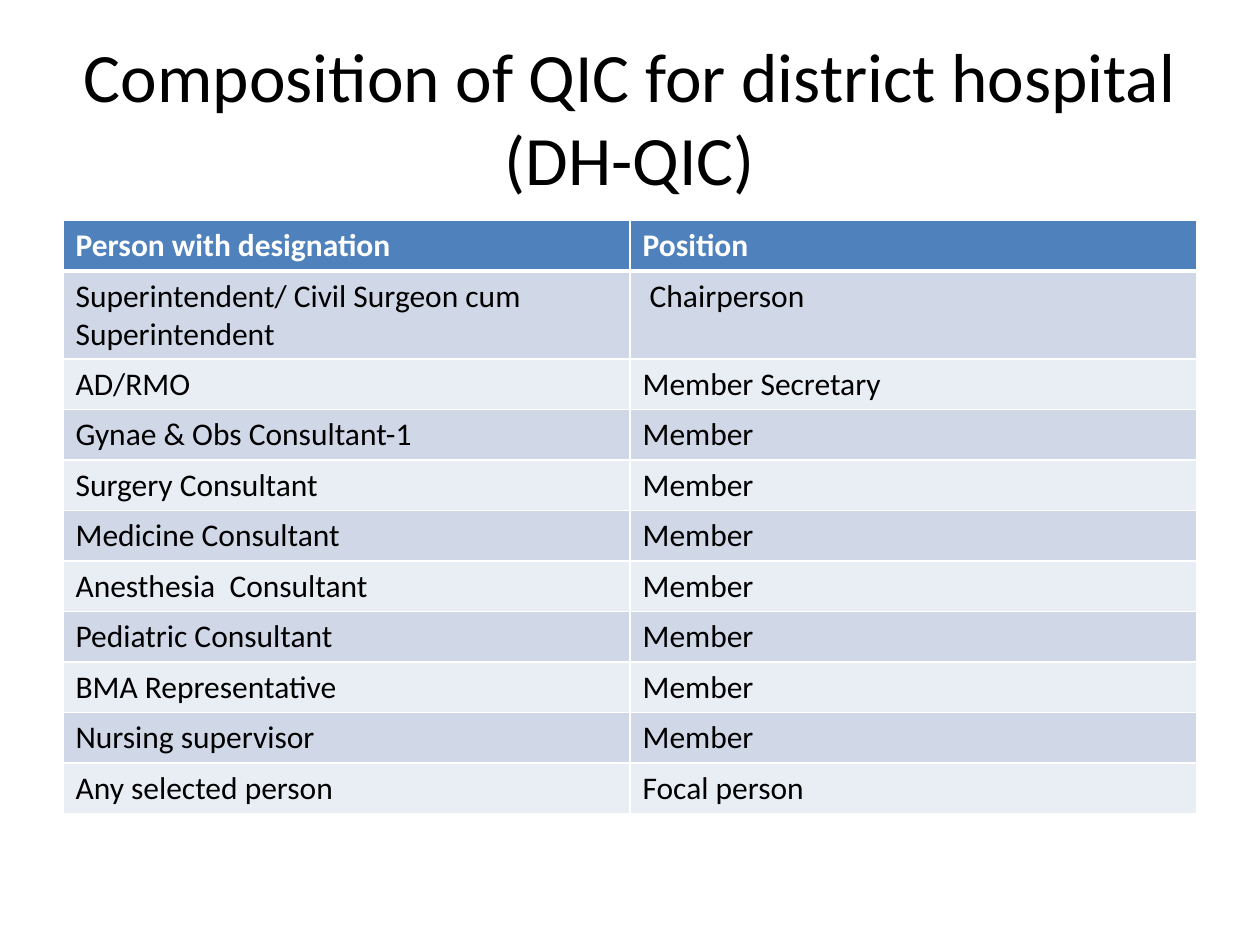
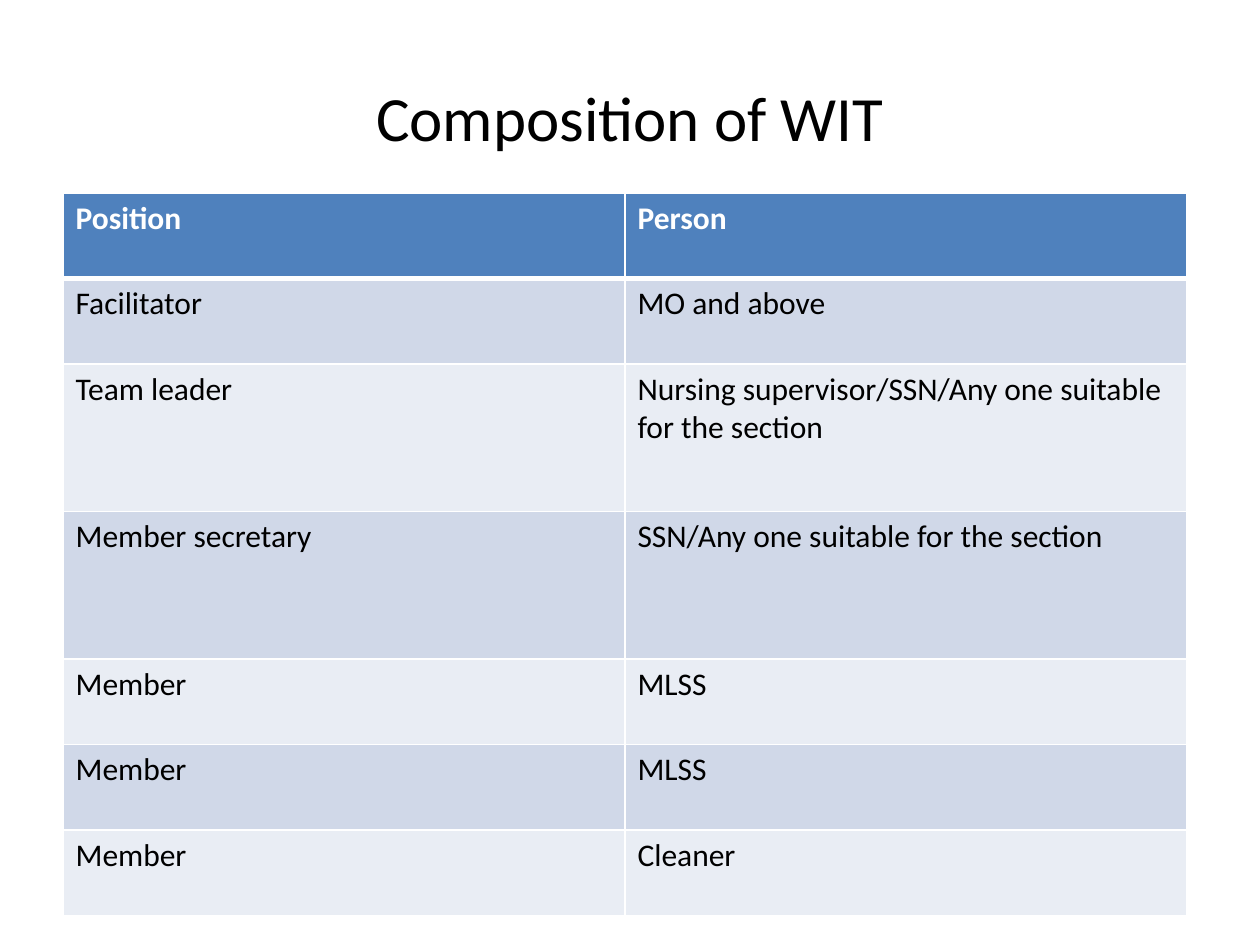
from pptx import Presentation
from pptx.dml.color import RGBColor
from pptx.enum.text import MSO_ANCHOR, PP_ALIGN
from pptx.oxml import parse_xml
from pptx.oxml.ns import nsdecls
from pptx.util import Inches, Pt

CENTER = PP_ALIGN.CENTER
MIDDLE = MSO_ANCHOR.MIDDLE

THEME = {
    "head": "4F81BD",
    "bands": ("D0D8E8", "E9EDF4"),
    "rule": "FFFFFF",
    "thin": 1,
    "thick": 3,
    "title": {"name": "Calibri", "bold": False, "color": "000000"},
    "label": {"name": "Calibri", "size": Pt(18), "bold": True, "color": "FFFFFF"},
    "body": {"name": "Calibri", "size": Pt(18), "bold": False, "color": "000000"},
}

SLIDES = [
    {
        "title": "Composition of QIC for district hospital\v(DH-QIC)",
        "size": Pt(39.6),
        "top": 1.75,
        "width": 9,
        "row": 0.4,
        "tall": {},
        "rows": [
            ("Person with designation", "Position"),
            ("Superintendent/ Civil Surgeon cum Superintendent", " Chairperson"),
            ("AD/RMO", "Member Secretary"),
            ("Gynae & Obs Consultant-1", "Member"),
            ("Surgery Consultant", "Member"),
            ("Medicine Consultant", "Member"),
            ("Anesthesia  Consultant", "Member"),
            ("Pediatric Consultant", "Member"),
            ("BMA Representative", "Member"),
            ("Nursing supervisor", "Member"),
            ("Any selected person", "Focal person"),
        ],
    },
    {
        "title": "Composition of WIT",
        "size": Pt(36),
        "top": 1.53,
        "width": 8.92,
        "row": 0.68,
        "tall": {2: 1.17, 3: 1.17},
        "rows": [
            ("Position", "Person"),
            ("Facilitator", "MO and above"),
            ("Team leader", "Nursing supervisor/SSN/Any one suitable for the section"),
            ("Member secretary", "SSN/Any one suitable for the section"),
            ("Member", "MLSS"),
            ("Member", "MLSS"),
            ("Member", "Cleaner"),
        ],
    },
]


def write(frame, text, style):
    frame.text = text
    for run in frame.paragraphs[0].runs:
        for key, value in style.items():
            if key == "color":
                run.font.color.rgb = RGBColor.from_string(value)
            else:
                setattr(run.font, key, value)


def edge(cell, widths):
    props = cell._tc.get_or_add_tcPr()
    for spot, (side, width) in enumerate(widths.items()):
        props.insert(spot, parse_xml(
            f'<a:ln{side} {nsdecls("a")} w="{Pt(width)}"><a:solidFill>'
            f'<a:srgbClr val="{THEME["rule"]}"/></a:solidFill></a:ln{side}>'))


deck = Presentation()
deck.slide_width = Inches(10)
deck.slide_height = Inches(7.5)

for page in SLIDES:
    slide = deck.slides.add_slide(deck.slide_layouts[6])
    box = slide.shapes.add_textbox(Inches(0.5), Inches(0.3), Inches(9), Inches(1.25))
    frame = box.text_frame
    frame.word_wrap = True
    frame.vertical_anchor = MIDDLE
    write(frame, page["title"], {**THEME["title"], "size": page["size"]})
    frame.paragraphs[0].alignment = CENTER

    rows = page["rows"]
    highs = [page["tall"].get(at, page["row"]) for at in range(len(rows))]
    table = slide.shapes.add_table(
        len(rows), 2, Inches(0.5), Inches(page["top"]),
        Inches(page["width"]), Inches(sum(highs))).table

    for at, (texts, high) in enumerate(zip(rows, highs)):
        table.rows[at].height = Inches(high)
        fill = THEME["bands"][(at - 1) % 2] if at else THEME["head"]
        style = THEME["body"] if at else THEME["label"]
        thin, thick = THEME["thin"], THEME["thick"]
        widths = {"L": thin, "R": thin,
                  "T": thick if at == 1 else thin,
                  "B": thick if at == 0 else thin}
        for col, text in enumerate(texts):
            cell = table.cell(at, col)
            write(cell.text_frame, text, style)
            cell.fill.solid()
            cell.fill.fore_color.rgb = RGBColor.from_string(fill)
            edge(cell, widths)

deck.save("out.pptx")
